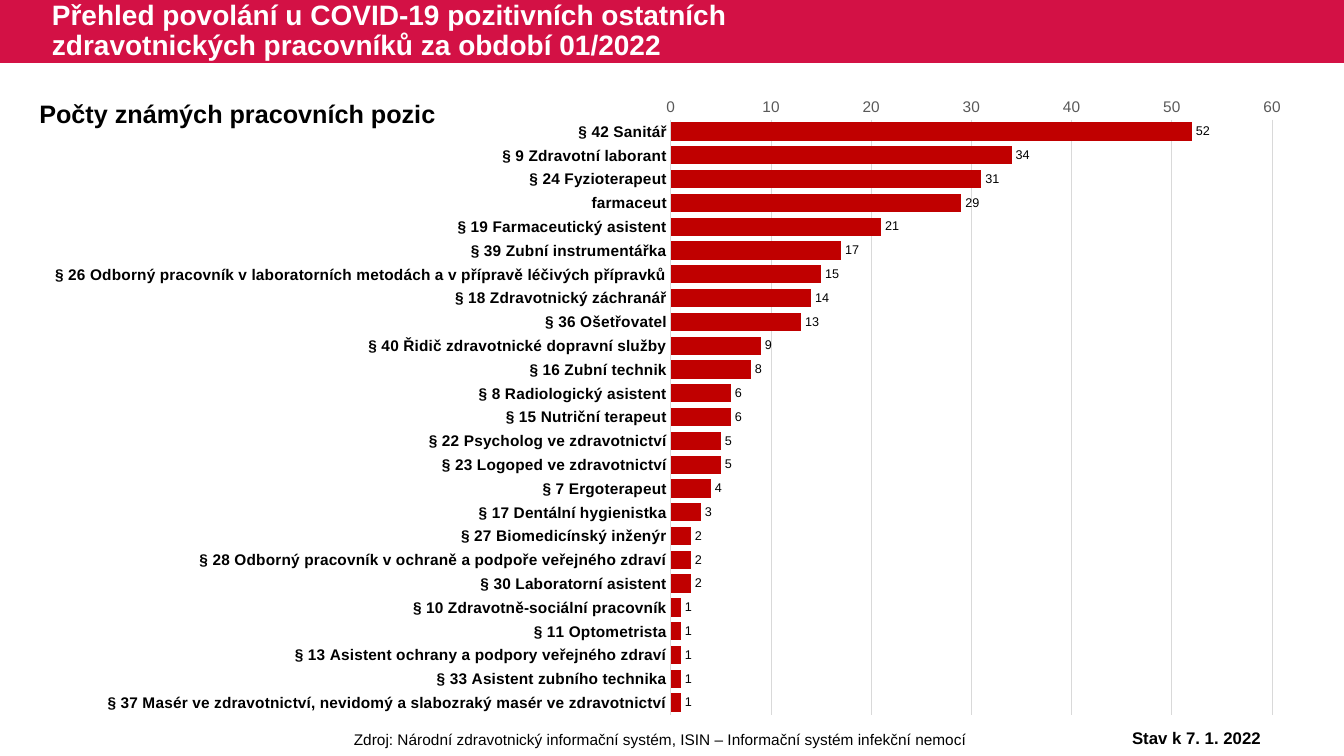
from lxml import etree
from pptx import Presentation
from pptx import util as u
from pptx.chart.data import CategoryChartData
from pptx.dml.color import RGBColor
from pptx.enum import chart as charts, shapes, text
from pptx.oxml.ns import qn

PX = 9525  # EMU per px, 96 px to the inch
FONT = "Arial"
COLORS = {"band": "D31145", "bar": "C00000", "grid": "D9D9D9",
          "scale": "595959", "ink": "000000", "paper": "FFFFFF"}

POSITIONS = [
    ("§ 42 Sanitář", 52),
    ("§ 9 Zdravotní laborant", 34),
    ("§ 24 Fyzioterapeut", 31),
    ("farmaceut", 29),
    ("§ 19 Farmaceutický asistent", 21),
    ("§ 39 Zubní instrumentářka", 17),
    ("§ 26 Odborný pracovník v laboratorních metodách a v přípravě léčivých přípravků", 15),
    ("§ 18 Zdravotnický záchranář", 14),
    ("§ 36 Ošetřovatel", 13),
    ("§ 40 Řidič zdravotnické dopravní služby", 9),
    ("§ 16 Zubní technik", 8),
    ("§ 8 Radiologický asistent", 6),
    ("§ 15 Nutriční terapeut", 6),
    ("§ 22 Psycholog ve zdravotnictví", 5),
    ("§ 23 Logoped ve zdravotnictví", 5),
    ("§ 7 Ergoterapeut", 4),
    ("§ 17 Dentální hygienistka", 3),
    ("§ 27 Biomedicínský inženýr", 2),
    ("§ 28 Odborný pracovník v ochraně a podpoře veřejného zdraví", 2),
    ("§ 30 Laboratorní asistent", 2),
    ("§ 10 Zdravotně-sociální pracovník", 1),
    ("§ 11 Optometrista", 1),
    ("§ 13 Asistent ochrany a podpory veřejného zdraví", 1),
    ("§ 33 Asistent zubního technika", 1),
    ("§ 37 Masér ve zdravotnictví, nevidomý a slabozraký masér ve zdravotnictví", 1),
]


def rgb(name):
    return RGBColor.from_string(COLORS[name])


def emu(box):
    return [n * PX for n in box]


def set_font(font, size, color="ink", bold=False):
    font.name, font.size, font.bold = FONT, u.Pt(size), bold
    font.color.rgb = rgb(color)


def add_label(slide, box, words, size, bold=False, color="ink",
              align=text.PP_ALIGN.LEFT, wrap=True):
    frame = slide.shapes.add_textbox(*emu(box)).text_frame
    frame.word_wrap = wrap
    line = frame.paragraphs[0]
    line.text = words
    line.alignment = align
    set_font(line.font, size, color, bold)
    return frame


def add_header(slide, box):
    left, top, width, height = box
    band = slide.shapes.add_shape(shapes.MSO_SHAPE.RECTANGLE, *emu(box))
    band.shadow.inherit = False
    band.fill.solid()
    band.fill.fore_color.rgb = rgb("band")
    band.line.fill.background()

    title = add_label(
        slide, (left + 40, top, 793, height),
        "Přehled povolání u COVID-19 pozitivních ostatních "
        "zdravotnických pracovníků za období 01/2022", 20, True, "paper")
    title.vertical_anchor = text.MSO_ANCHOR.MIDDLE
    title.paragraphs[0].line_spacing = 0.9


def place_plot(chart, **fractions):
    """Fix the inner plot area as fractions of the chart."""
    plot_area = chart._chartSpace.chart.plotArea
    for old in plot_area.findall(qn("c:layout")):
        plot_area.remove(old)
    layout = etree.Element(qn("c:layout"))
    manual = etree.SubElement(layout, qn("c:manualLayout"))
    settings = {"layoutTarget": "inner", "xMode": "edge", "yMode": "edge", **fractions}
    for tag, value in settings.items():
        etree.SubElement(manual, qn(f"c:{tag}")).set("val", str(value))
    plot_area.insert(0, layout)


def add_positions_chart(slide, box):
    names, counts = zip(*POSITIONS)
    data = CategoryChartData()
    data.categories = names
    data.add_series("Počet", counts)
    chart = slide.shapes.add_chart(
        charts.XL_CHART_TYPE.BAR_CLUSTERED, *emu(box), data).chart
    chart.has_legend = chart.has_title = False
    set_font(chart.font, 10)
    place_plot(chart, x=0.51, y=0.06, w=0.46, h=0.92)

    # Bars and their values
    bars = chart.plots[0]
    bars.gap_width, bars.overlap = 30, 100
    bars.vary_by_categories = False
    fill = bars.series[0].format.fill
    fill.solid()
    fill.fore_color.rgb = rgb("bar")
    bars.has_data_labels = True
    values = bars.data_labels
    values.show_value = True
    values.position = charts.XL_LABEL_POSITION.OUTSIDE_END
    set_font(values.font, 9)

    # Axes: largest group on top
    jobs, scale = chart.category_axis, chart.value_axis
    for axis in (jobs, scale):
        axis.major_tick_mark = axis.minor_tick_mark = charts.XL_TICK_MARK.NONE
    jobs.reverse_order = True
    scale.minimum_scale, scale.maximum_scale, scale.major_unit = 0, 60, 10
    set_font(jobs.tick_labels.font, 11, bold=True)
    set_font(scale.tick_labels.font, 11, "scale")
    scale.format.line.fill.background()
    for rule in (jobs.format.line, scale.major_gridlines.format.line):
        rule.color.rgb = rgb("grid")
        rule.width = u.Pt(0.75)


def add_footer(slide, box):
    left, top, width, height = box
    center = text.PP_ALIGN.CENTER
    add_label(slide, (left + 227, top + 3, 804, height),
              "Zdroj: Národní zdravotnický informační systém, "
              "ISIN – Informační systém infekční nemocí", 11, align=center)
    add_label(slide, (left + 1034, top, 211, height),
              "Stav k 7. 1. 2022", 12, True, align=center)


def main():
    deck = Presentation()
    deck.slide_width, deck.slide_height = 1280 * PX, 720 * PX
    slide = deck.slides.add_slide(deck.slide_layouts[6])
    add_header(slide, (0, 0, 1280, 60))
    add_positions_chart(slide, (4, 77, 1245, 616))
    add_label(slide, (28, 89, 399, 38), "Počty známých pracovních pozic",
              18, True, wrap=False)
    add_footer(slide, (0, 688, 1280, 28))
    deck.save("out.pptx")


if __name__ == "__main__":
    main()
